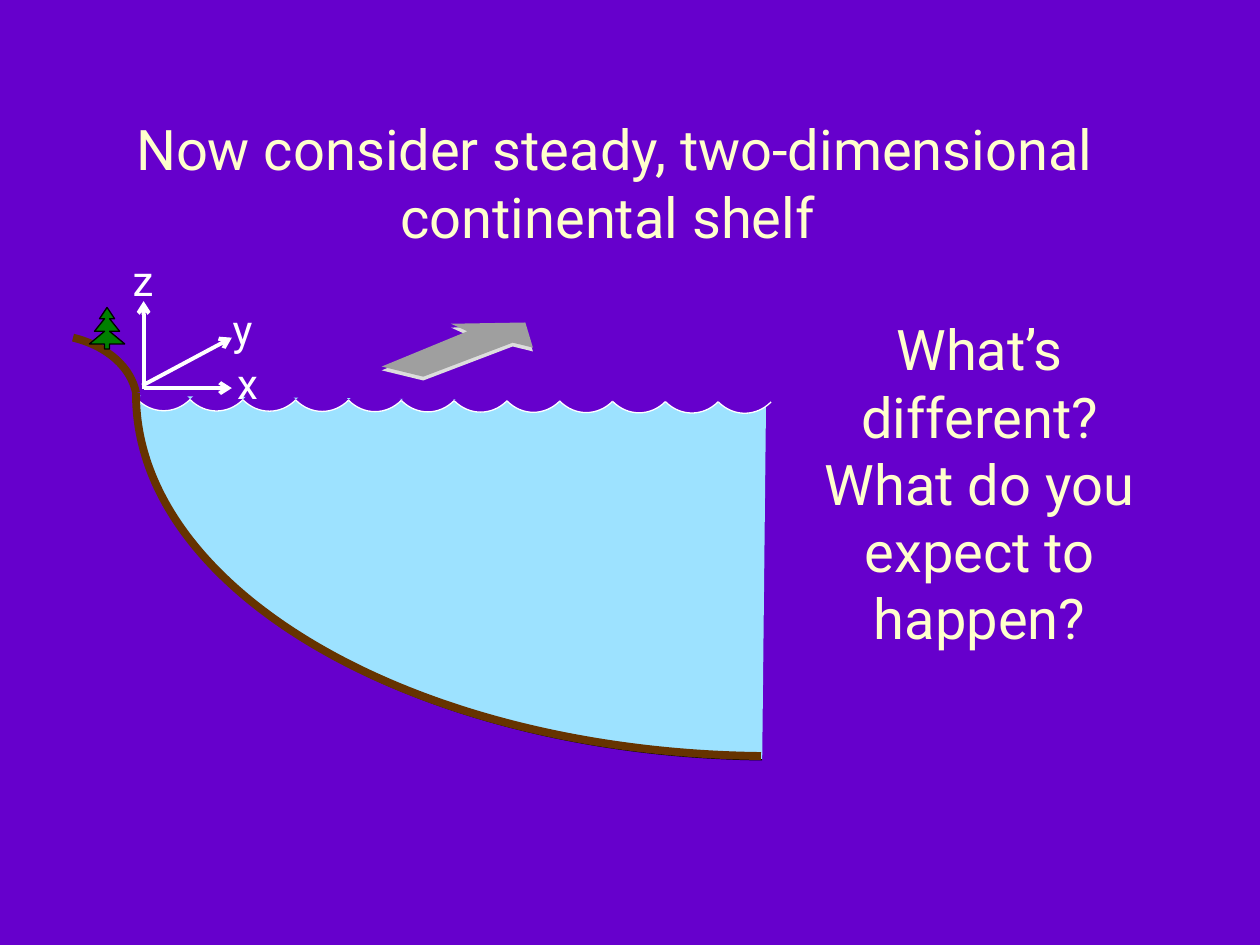
from copy import deepcopy
from pptx import Presentation
from pptx.dml.color import RGBColor as RGB
from pptx.enum.shapes import MSO_CONNECTOR as Link
from pptx.enum.text import MSO_ANCHOR as Anchor, PP_ALIGN as Align
from pptx.oxml.ns import qn
from pptx.oxml.xmlchemy import OxmlElement as Element
from pptx.util import Inches, Pt

FONT = "Roboto"
HUES = {"back": "6600CC", "cream": "FFFFCC", "white": "FFFFFF", "water": "9DE2FF",
        "land": "663300", "leaf": "008000", "black": "000000",
        "top": "9F9F9F", "side": "DDDDDD"}

TITLE = "Now consider steady, two-dimensional continental shelf "
ASKS = ["What’s different?", "What do you expect to happen?"]

# Curves: start, two control points, end, then the corner that closes the fill
SEA = [(6.05, 6.03), (3.29, 6), (1.08, 4.71), (1.09, 3.14), (6.08, 3.2)]
BED = [(6.04, 6), (3.28, 5.97), (1.07, 4.68), (1.08, 3.12), (6.07, 3.17)]
SHORE = [(0.58, 2.68), (0.86, 2.75), (1.04, 2.92), (1.08, 3.12), (0.06, 3.32)]

WAVES = 12
FIRST, LAST = (1.09, 3.17), (6.12, 3.19)

# Half of the tree, from its tip down to the foot
TREE_X, TREE = 0.85, [(0, 2.44), (0.06, 2.53), (0.02, 2.53), (0.1, 2.63),
                      (0.02, 2.63), (0.14, 2.73), (0.02, 2.73), (0.02, 2.77)]

FLOW = [(3.03, 2.91), (3.71, 2.63), (3.58, 2.57), (4.17, 2.56),
        (4.23, 2.76), (4.07, 2.72), (3.36, 2.99)]
DEPTH = 0.03

AXES = [((1.14, 3.08), (1.84, 3.08)), ((1.14, 3.09), (1.14, 2.39)),
        ((1.13, 3.06), (1.84, 2.68))]
LABELS = [("z", 0.95, 1.97), ("x", 1.78, 2.79), ("y", 1.74, 2.36)]


def hue(name):
    return RGB.from_string(HUES[name])


def place(shape, left, top, width, height):
    shape.left, shape.top = Inches(left), Inches(top)
    shape.width, shape.height = Inches(width), Inches(height)


def write(shape, lines, size, color, wrap=True):
    frame = shape.text_frame
    frame.word_wrap = wrap
    frame.text = "\n".join(lines)
    for para in frame.paragraphs:
        para.alignment = Align.CENTER
        for run in para.runs:
            run.font.name, run.font.size = FONT, Pt(size)
            run.font.color.rgb = hue(color)


def outline(shapes, points, fill=None, line=None, width=0.75):
    spots = [(Inches(x), Inches(y)) for x, y in points]
    builder = shapes.build_freeform(*spots[0])
    builder.add_line_segments(spots[1:], close=True)
    shape = builder.convert_to_shape()
    shape.shadow.inherit = False
    if fill:
        shape.fill.solid()
        shape.fill.fore_color.rgb = hue(fill)
    else:
        shape.fill.background()
    if line:
        shape.line.color.rgb = hue(line)
        shape.line.width = Pt(width)
    else:
        shape.line.fill.background()
    return shape


def curve(shapes, points, **look):
    """Draw one Bezier curve whose line is open and whose fill reaches the corner."""
    shape = outline(shapes, points, **look)
    area = next(shape.element.iter(qn("a:path")))
    legs = area.findall(qn("a:lnTo"))
    bend = Element("a:cubicBezTo")
    legs[0].addprevious(bend)
    for leg in legs[:3]:
        bend.append(leg[0])
        area.remove(leg)
    edge = deepcopy(area)
    for tag in ("a:lnTo", "a:close"):
        edge.remove(edge.find(qn(tag)))
    edge.set("fill", "none")
    area.set("stroke", "0")
    area.addnext(edge)


def wave(shapes, index):
    (x0, y0), (x1, y1) = FIRST, LAST
    step = (x1 - x0) / WAVES
    left, right = x0 + index * step, x0 + (index + 1) * step
    level = y0 + (y1 - y0) * index / (WAVES - 1)
    curve(shapes, [(right, level), (right - 0.12, level + 0.12),
                   (left + 0.12, level + 0.12), (left, level),
                   ((left + right) / 2, level - 0.22)], fill="back", line="white")


def axis(shapes, start, end):
    ends = [Inches(v) for v in start + end]
    link = shapes.add_connector(Link.STRAIGHT, *ends)
    link.line.color.rgb = hue("white")
    link.line.width = Pt(2.25)
    props = link.element.spPr
    tip = Element("a:tailEnd")
    tip.set("type", "arrow")
    props.find(qn("a:ln")).append(tip)
    props.append(Element("a:effectLst"))


def main():
    deck = Presentation()
    deck.slide_width, deck.slide_height = Inches(10), Inches(7.5)
    slide = deck.slides.add_slide(deck.slide_layouts[5])
    slide.background.fill.solid()
    slide.background.fill.fore_color.rgb = hue("back")
    shapes = slide.shapes

    place(shapes.title, 0.34, 0.82, 9.08, 1.25)
    write(shapes.title, [TITLE], 32, "cream")
    shapes.title.text_frame.vertical_anchor = Anchor.MIDDLE

    curve(shapes, SEA, fill="water", line="black")
    for index in range(WAVES):
        wave(shapes, index)
    for land in (BED, SHORE):
        curve(shapes, land, line="land", width=4.5)

    tree = [(TREE_X + x, y) for x, y in TREE]
    tree += [(TREE_X - x, y) for x, y in reversed(TREE[1:])]
    outline(shapes, tree, fill="leaf", line="black")

    outline(shapes, [(x, y + DEPTH) for x, y in FLOW], fill="side")
    outline(shapes, FLOW, fill="top")

    for start, end in AXES:
        axis(shapes, start, end)
    for name, left, top in LABELS:
        box = shapes.add_textbox(Inches(left), Inches(top), Inches(0.37), Inches(0.5))
        write(box, [name], 24, "white", wrap=False)

    box = shapes.add_textbox(Inches(6.03), Inches(2.45), Inches(3.49), Inches(2.79))
    write(box, ASKS, 32, "cream")

    deck.save("out.pptx")


if __name__ == "__main__":
    main()
